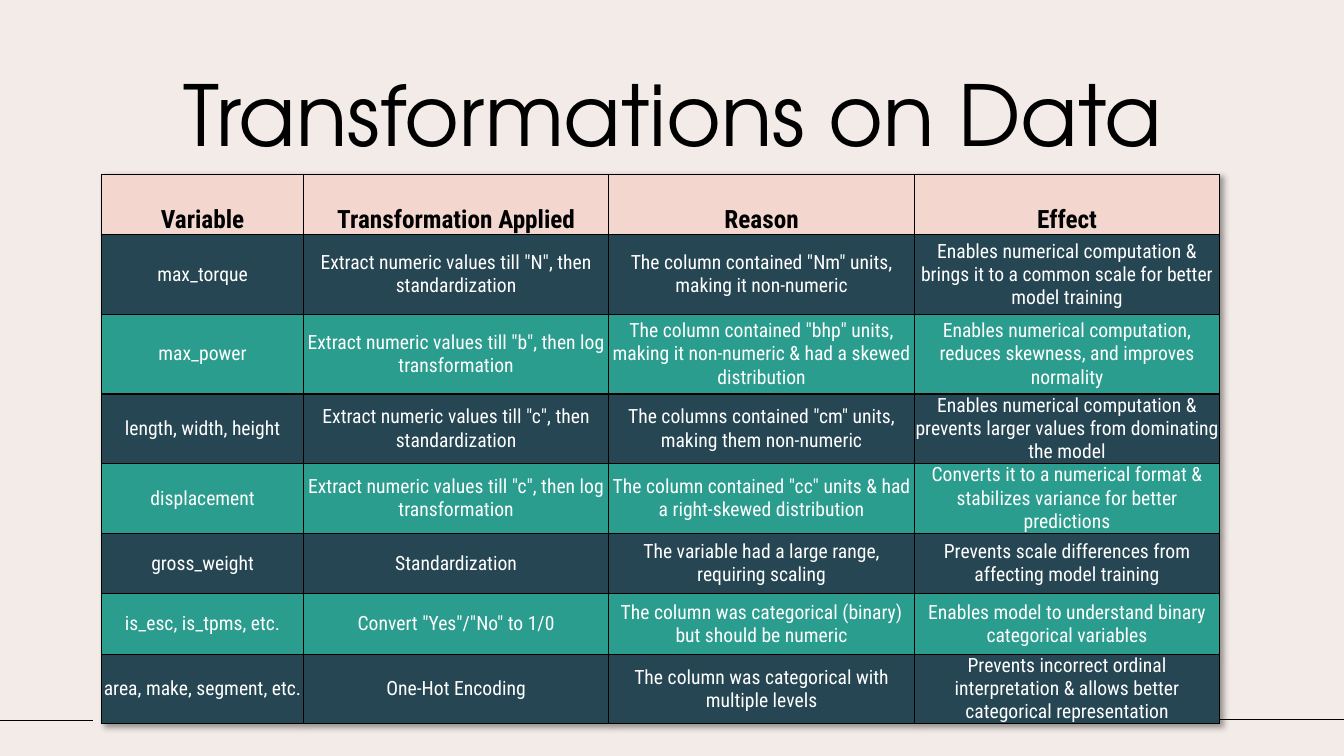
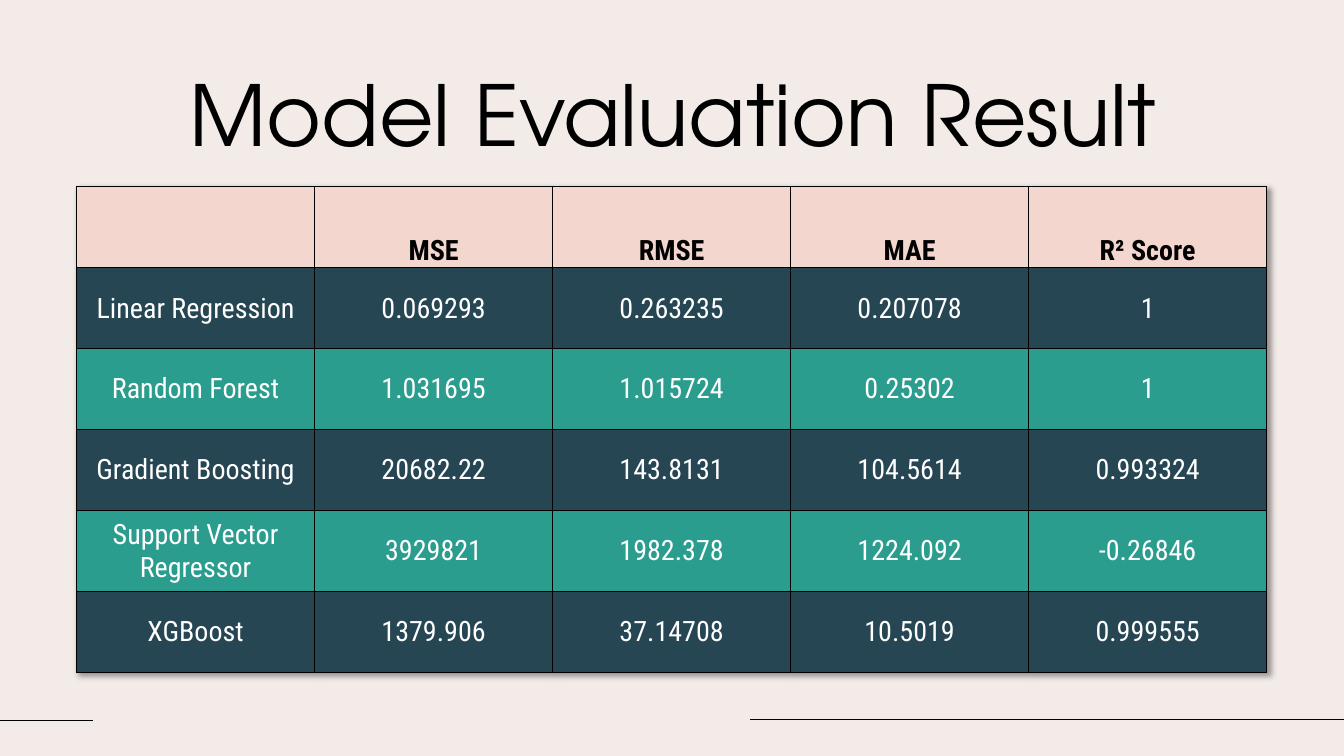
from lxml import etree
from pptx import Presentation
from pptx import util as u
from pptx.dml.color import RGBColor
from pptx.enum import shapes, text
from pptx.oxml import parse_xml

NS = "http://schemas.openxmlformats.org/drawingml/2006/main"
INK, PAPER, WHITE = "000000", "F3EBE8", "FFFFFF"
HEAD, BANDS = "F3D6CD", ("264653", "2A9D8F")
SHADOW = (f'<a:effectLst xmlns:a="{NS}"><a:outerShdw blurRad="50800" dist="38100" '
          'dir="2700000" algn="tl" rotWithShape="0"><a:srgbClr val="000000">'
          '<a:alpha val="40000"/></a:srgbClr></a:outerShdw></a:effectLst>')
EDGE = ('<a:{side} xmlns:a="{ns}" w="12700"><a:solidFill>'
        '<a:srgbClr val="{ink}"/></a:solidFill></a:{side}>')

deck = Presentation()
deck.slide_width, deck.slide_height = u.Inches(13.33), u.Inches(7.5)
# One percent of the slide's width and height
wide, high = deck.slide_width / 100, deck.slide_height / 100


def paint(part, color):
    """Give a fill, or the font colour, one solid colour."""
    if hasattr(part, "solid"):
        part.solid()
        part = part.fore_color
    else:
        part = part.color
    part.rgb = RGBColor.from_string(color)


def write(frame, words, size=14, font="Roboto Condensed", color=WHITE, bold=False):
    par = frame.paragraphs[0]
    par.alignment = text.PP_ALIGN.CENTER
    run = par.add_run()
    run.text = words
    run.font.size, run.font.name, run.font.bold = u.Pt(size), font, bold
    paint(run.font, color)


# Shared look: background, title place and footer rules
paint(deck.slide_master.background.fill, PAPER)
page = deck.slide_layouts[5]
title = page.placeholders[0]
title.left, title.top = int(9.38 * wide), int(7.47 * high)
title.width, title.height = int(81.32 * wide), int(14.8 * high)
title.text_frame.vertical_anchor = text.MSO_ANCHOR.MIDDLE
title.text_frame.auto_size = text.MSO_AUTO_SIZE.NONE

# Widths, heights and places are percent of the slide
pages = [
    dict(
        title="Transformations on Data", left=7.58, top=23.07,
        cols=[15] + [22.73] * 3, rows=[8] + [10.53] * 2 + [8] * 5,
        size=14, top_size=18, pad=0,
        data=[
            ["Variable", "Transformation Applied", "Reason", "Effect"],
            ["max_torque", 'Extract numeric values till "N", then standardization',
             'The column contained "Nm" units, making it non-numeric',
             "Enables numerical computation & brings it to a common scale "
             "for better model training"],
            ["max_power", 'Extract numeric values till "b", then log transformation',
             'The column contained "bhp" units, making it non-numeric & had '
             "a skewed distribution",
             "Enables numerical computation, reduces skewness, and improves normality"],
            ["length, width, height",
             'Extract numeric values till "c", then standardization',
             'The columns contained "cm" units, making them non-numeric',
             "Enables numerical computation & prevents larger values from "
             "dominating the model"],
            ["displacement", 'Extract numeric values till "c", then log transformation',
             'The column contained "cc" units & had a right-skewed distribution',
             "Converts it to a numerical format & stabilizes variance for "
             "better predictions"],
            ["gross_weight", "Standardization",
             "The variable had a large range, requiring scaling",
             "Prevents scale differences from affecting model training"],
            ["is_esc, is_tpms, etc.", 'Convert "Yes"/"No" to 1/0',
             "The column was categorical (binary) but should be numeric",
             "Enables model to understand binary categorical variables"],
            ["area, make, segment, etc.", "One-Hot Encoding",
             "The column was categorical with multiple levels",
             "Prevents incorrect ordinal interpretation & allows better "
             "categorical representation"],
        ]),
    dict(
        title="Model Evaluation Result", left=5.7, top=24.67,
        cols=[17.71] * 5, rows=[10.71] * 6, size=20, top_size=20, pad=0.01,
        data=[
            ["", "MSE", "RMSE", "MAE", "R² Score"],
            ["Linear Regression", "0.069293", "0.263235", "0.207078", "1"],
            ["Random Forest", "1.031695", "1.015724", "0.25302", "1"],
            ["Gradient Boosting", "20682.22", "143.8131", "104.5614", "0.993324"],
            ["Support Vector Regressor", "3929821", "1982.378", "1224.092", "-0.26846"],
            ["XGBoost", "1379.906", "37.14708", "10.5019", "0.999555"],
        ]),
]

for num, item in enumerate(pages):
    slide = deck.slides.add_slide(page)
    write(slide.shapes.title.text_frame, item["title"], size=60,
          font="TeX Gyre Adventor", color=INK)

    # Footer rules are made once and moved to the layout
    if num == 0:
        for start, end, row in ((0, 6.9, 95.33), (55.8, 100, 95.2)):
            rule = slide.shapes.add_connector(
                shapes.MSO_CONNECTOR.STRAIGHT, int(start * wide), int(row * high),
                int(end * wide), int(row * high))
            paint(rule.line.fill, INK)
            rule.line.width = u.Pt(1)
            etree.SubElement(rule.element.spPr, f"{{{NS}}}effectLst")
            page.shapes.element.append(rule.element)

    # Table grid and its shadow
    cols, rows = item["cols"], item["rows"]
    grid = slide.shapes.add_table(
        len(rows), len(cols), int(item["left"] * wide), int(item["top"] * high),
        int(sum(cols) * wide), int(sum(rows) * high)).table
    grid._tbl.tblPr.insert(0, parse_xml(SHADOW))
    for col, share in zip(grid.columns, cols):
        col.width = int(share * wide)
    for row, share in zip(grid.rows, rows):
        row.height = int(share * high)

    # Cells: header row first, then two alternating bands
    for r, line in enumerate(item["data"]):
        top = r == 0
        for c, words in enumerate(line):
            cell = grid.cell(r, c)
            cell.margin_left = cell.margin_right = cell.margin_top = u.Inches(item["pad"])
            cell.margin_bottom = 0
            cell.vertical_anchor = (text.MSO_ANCHOR.BOTTOM if top
                                    else text.MSO_ANCHOR.MIDDLE)
            paint(cell.fill, HEAD if top else BANDS[(r - 1) % 2])
            for k, side in enumerate(("lnL", "lnR", "lnT", "lnB")):
                cell._tc.tcPr.insert(
                    k, parse_xml(EDGE.format(side=side, ns=NS, ink=INK)))
            if words:
                write(cell.text_frame, words, bold=top,
                      size=item["top_size"] if top else item["size"],
                      color=INK if top else WHITE)

deck.save("out.pptx")
